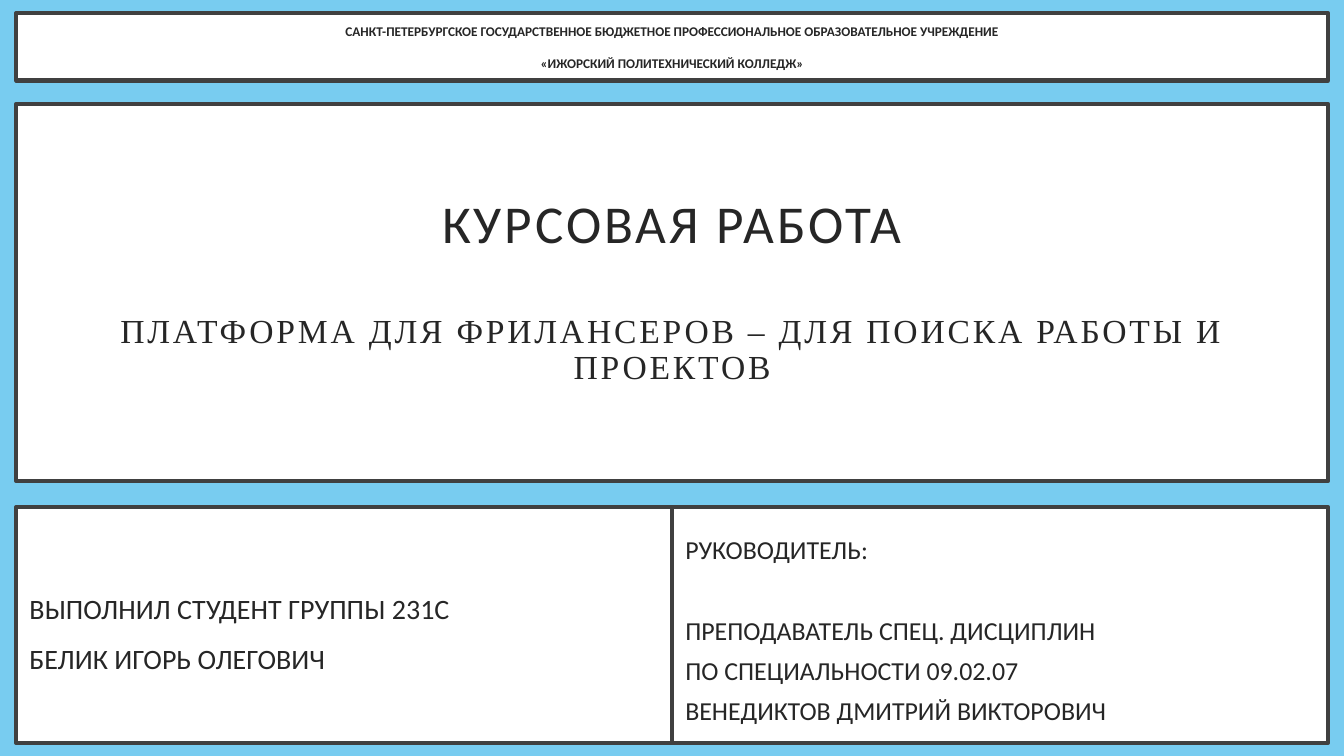
import pptx
import pptx.dml.color
import pptx.enum.shapes
import pptx.enum.text
import pptx.util
from pptx.util import Cm

SKY = pptx.dml.color.RGBColor(0x78, 0xCC, 0xF0)
WHITE = pptx.dml.color.RGBColor(0xFF, 0xFF, 0xFF)
FRAME = pptx.dml.color.RGBColor(0x40, 0x40, 0x40)
INK = pptx.dml.color.RGBColor(0x26, 0x26, 0x26)

MARGIN = Cm(0.41)
FULL_WIDTH = Cm(33.06)
HALF_WIDTH = FULL_WIDTH // 2
CENTER = pptx.enum.text.PP_ALIGN.CENTER
LEFT = pptx.enum.text.PP_ALIGN.LEFT


def add_panel(slide, left, top, width, height, inset_x, inset_y):
    """Add a white framed panel and return its text frame."""
    panel = slide.shapes.add_shape(
        pptx.enum.shapes.MSO_SHAPE.RECTANGLE, left, top, width, height)
    panel.shadow.inherit = False
    panel.fill.solid()
    panel.fill.fore_color.rgb = WHITE
    panel.line.color.rgb = FRAME
    panel.line.width = pptx.util.Pt(3)
    frame = panel.text_frame
    frame.word_wrap = True
    frame.vertical_anchor = pptx.enum.text.MSO_ANCHOR.MIDDLE
    frame.margin_left = frame.margin_right = inset_x
    frame.margin_top = frame.margin_bottom = inset_y
    return frame


def add_text(frame, text, size, font="Calibri", bold=False, align=LEFT,
             line_spacing=1.0, after=0, tracking=0):
    """Write one paragraph into the frame, filling its first one if free."""
    paragraph = frame.paragraphs[0] if not frame.text else frame.add_paragraph()
    paragraph.alignment = align
    paragraph.line_spacing = line_spacing
    paragraph.space_before = pptx.util.Pt(0)
    paragraph.space_after = pptx.util.Pt(after)
    run = paragraph.add_run()
    run.text = text
    run.font.size = pptx.util.Pt(size)
    run.font.name = font
    run.font.bold = bold
    run.font.color.rgb = INK
    if tracking:
        run._r.get_or_add_rPr().set("spc", str(tracking * 100))


def main():
    """Build the title slide of the course work."""
    deck = pptx.Presentation()
    deck.slide_width, deck.slide_height = Cm(33.87), Cm(19.05)
    slide = deck.slides.add_slide(deck.slide_layouts[6])
    slide.background.fill.solid()
    slide.background.fill.fore_color.rgb = SKY

    topic = add_panel(slide, MARGIN, Cm(2.62), FULL_WIDTH, Cm(9.5), Cm(0.76), Cm(0.51))
    add_text(topic, "КУРСОВАЯ РАБОТА", 38, align=CENTER,
             line_spacing=0.9, after=42, tracking=2)
    add_text(topic, "ПЛАТФОРМА ДЛЯ ФРИЛАНСЕРОВ – ДЛЯ ПОИСКА РАБОТЫ И ПРОЕКТОВ", 24,
             font="Times New Roman", align=CENTER, line_spacing=0.9, tracking=2)

    college = add_panel(slide, MARGIN, Cm(0.33), FULL_WIDTH, Cm(1.7), Cm(0.76), Cm(0.51))
    add_text(college, "САНКТ-ПЕТЕРБУРГСКОЕ ГОСУДАРСТВЕННОЕ БЮДЖЕТНОЕ "
             "ПРОФЕССИОНАЛЬНОЕ ОБРАЗОВАТЕЛЬНОЕ УЧРЕЖДЕНИЕ", 9.5,
             bold=True, align=CENTER, after=11.5)
    add_text(college, "«ИЖОРСКИЙ ПОЛИТЕХНИЧЕСКИЙ КОЛЛЕДЖ»", 9.5,
             bold=True, align=CENTER)

    supervisor = add_panel(slide, MARGIN + HALF_WIDTH, Cm(12.78), HALF_WIDTH, Cm(5.94),
                           Cm(0.33), Cm(0.33))
    add_text(supervisor, "РУКОВОДИТЕЛЬ:", 18.5, line_spacing=1.3, after=29)
    for line in ("ПРЕПОДАВАТЕЛЬ СПЕЦ. ДИСЦИПЛИН",
                 "ПО СПЕЦИАЛЬНОСТИ 09.02.07",
                 "ВЕНЕДИКТОВ ДМИТРИЙ ВИКТОРОВИЧ"):
        add_text(supervisor, line, 18.5, line_spacing=1.3)

    student = add_panel(slide, MARGIN, Cm(12.78), HALF_WIDTH, Cm(5.94),
                        Cm(0.33), Cm(0.33))
    for line in ("ВЫПОЛНИЛ СТУДЕНТ ГРУППЫ 231С", "БЕЛИК ИГОРЬ ОЛЕГОВИЧ"):
        add_text(student, line, 20, line_spacing=1.5)

    deck.save("out.pptx")


if __name__ == "__main__":
    main()
